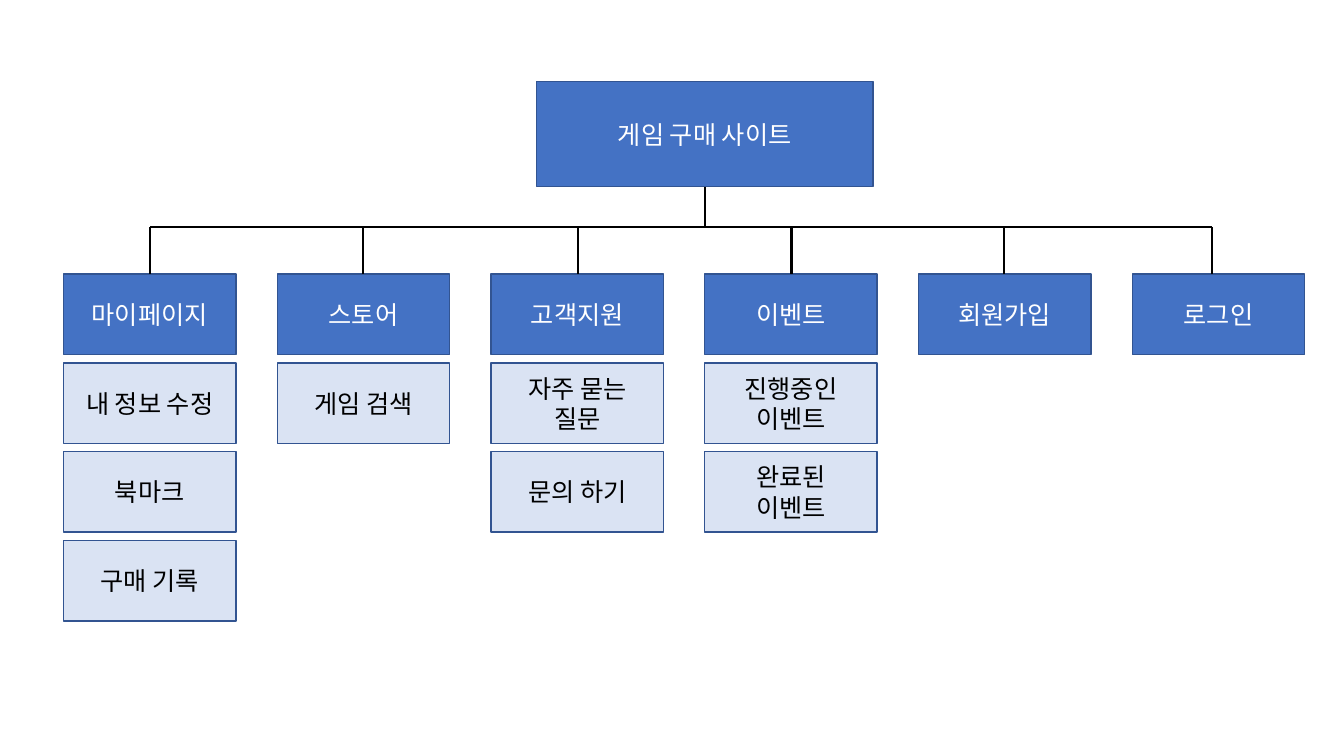
from lxml import etree
from pptx import Presentation
from pptx.dml.color import RGBColor
from pptx.enum import shapes, text
from pptx.oxml import ns
from pptx.util import Inches, Pt

BLUE = RGBColor(0x44, 0x72, 0xC4)
PALE_BLUE = RGBColor(0xDA, 0xE3, 0xF3)
OUTLINE = RGBColor(0x32, 0x54, 0x91)
WHITE = RGBColor(0xFF, 0xFF, 0xFF)
BLACK = RGBColor(0x00, 0x00, 0x00)
FONT = "Noto Sans CJK KR"

SITE = "게임 구매 사이트"
MENUS = [
    ("마이페이지", ["내 정보 수정", "북마크", "구매 기록"]),
    ("스토어", ["게임 검색"]),
    ("고객지원", ["자주 묻는\n질문", "문의 하기"]),
    ("이벤트", ["진행중인\n이벤트", "완료된\n이벤트"]),
    ("회원가입", []),
    ("로그인", []),
]

MENU_LEFT, MENU_TOP = 0.63, 2.72
MENU_WIDTH, MENU_HEIGHT = 1.71, 0.8
COLUMN_STEP, ROW_STEP = 2.12, 0.88
TRUNK_X, BUS_Y = 6.99, 2.25
DROPS = [1.49, 3.6, 5.73, 7.85, 9.96, 12.02]


def style_paragraph(paragraph, color):
    paragraph.alignment = text.PP_ALIGN.CENTER
    font = paragraph.font
    font.size = Pt(18)
    font.color.rgb = color
    font.name = FONT
    latin = paragraph._p.find(".//" + ns.qn("a:latin"))
    east_asian = etree.Element(ns.qn("a:ea"), typeface=FONT)
    latin.addnext(east_asian)


def add_box(page, label, left, top, width, height, fill, color):
    box = page.shapes.add_shape(
        shapes.MSO_SHAPE.RECTANGLE,
        Inches(left), Inches(top), Inches(width), Inches(height),
    )
    box.shadow.inherit = False
    box.fill.solid()
    box.fill.fore_color.rgb = fill
    box.line.color.rgb = OUTLINE
    box.line.width = Pt(1)
    frame = box.text_frame
    frame.word_wrap = True
    frame.vertical_anchor = text.MSO_ANCHOR.MIDDLE
    frame.text = label
    for paragraph in frame.paragraphs:
        style_paragraph(paragraph, color)


def add_line(page, start_x, start_y, end_x, end_y):
    line = page.shapes.add_connector(
        shapes.MSO_CONNECTOR.STRAIGHT,
        Inches(start_x), Inches(start_y), Inches(end_x), Inches(end_y),
    )
    line.line.color.rgb = BLACK
    line.line.width = Pt(1.5)
    etree.SubElement(line._element.spPr, ns.qn("a:effectLst"))


def add_menu(page, column, title, entries):
    left = MENU_LEFT + column * COLUMN_STEP
    for row, label in enumerate([title, *entries]):
        fill, color = (PALE_BLUE, BLACK) if row else (BLUE, WHITE)
        top = MENU_TOP + row * ROW_STEP
        add_box(page, label, left, top, MENU_WIDTH, MENU_HEIGHT, fill, color)


def add_branches(page):
    add_line(page, TRUNK_X, 1.86, TRUNK_X, BUS_Y)
    add_line(page, DROPS[0], BUS_Y, DROPS[-1], BUS_Y)
    for drop in DROPS:
        add_line(page, drop, BUS_Y, drop, MENU_TOP)


def main():
    deck = Presentation()
    deck.slide_width, deck.slide_height = Inches(13.33), Inches(7.5)
    page = deck.slides.add_slide(deck.slide_layouts[6])
    add_box(page, SITE, 5.32, 0.81, 3.34, 1.04, BLUE, WHITE)
    for column, (title, entries) in enumerate(MENUS):
        add_menu(page, column, title, entries)
    add_branches(page)
    deck.save("out.pptx")


if __name__ == "__main__":
    main()
